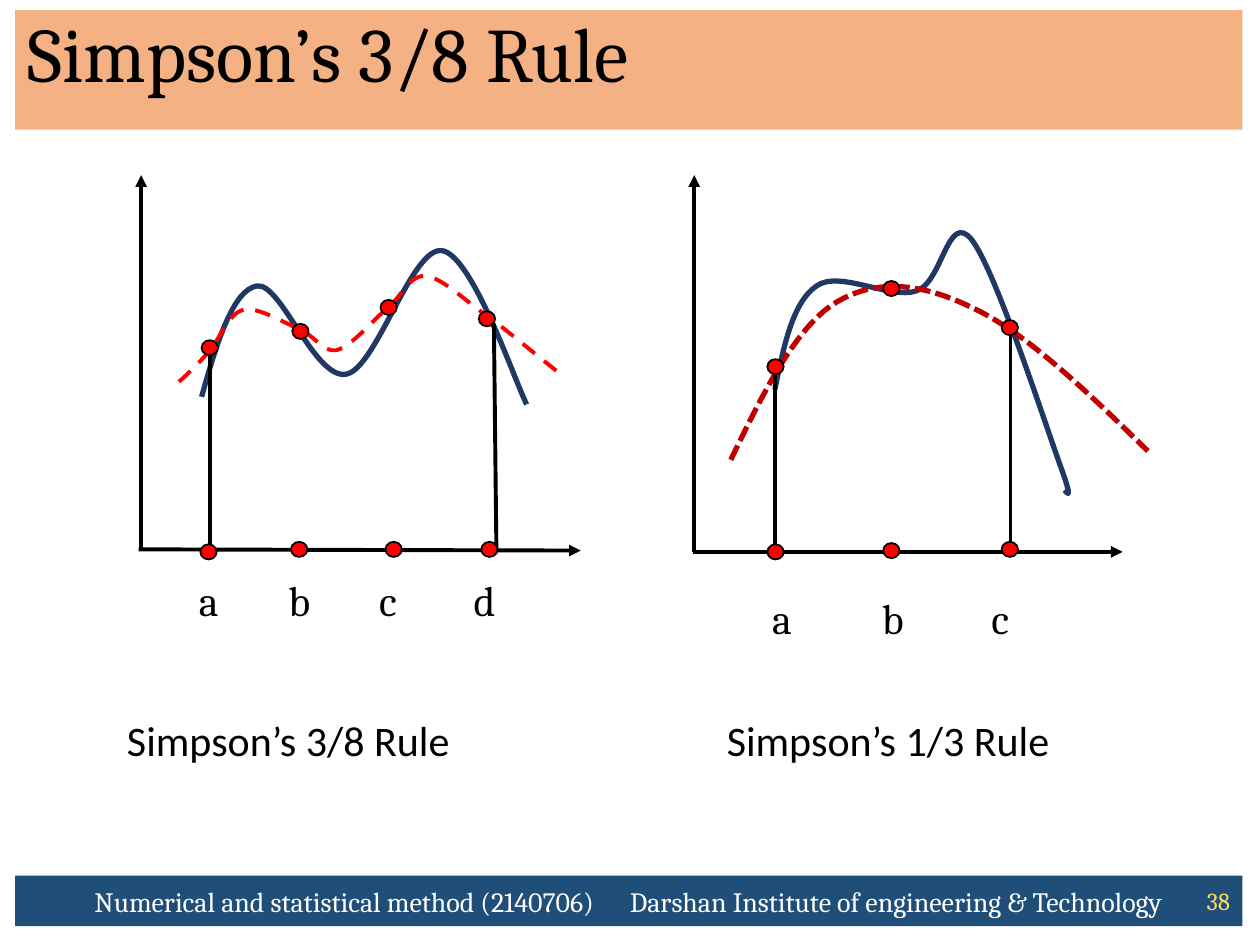
"""Build a slide comparing Simpson's 3/8 rule with Simpson's 1/3 rule."""
from lxml.etree import SubElement
from pptx import Presentation
from pptx.dml.color import RGBColor
from pptx.enum.dml import MSO_LINE
from pptx.enum.shapes import MSO_CONNECTOR, MSO_SHAPE
from pptx.enum.text import MSO_ANCHOR, MSO_AUTO_SIZE, PP_ALIGN
from pptx.oxml.ns import qn
from pptx.util import Inches, Pt

BLACK = RGBColor(0, 0, 0)
WHITE = RGBColor(0xFF, 0xFF, 0xFF)
RED = RGBColor(0xFF, 0, 0)
DARK_RED = RGBColor(0xC0, 0, 0)
NAVY = RGBColor(0x20, 0x38, 0x64)
BLUE = RGBColor(0x1F, 0x4E, 0x79)
ORANGE = RGBColor(0xF4, 0xB1, 0x83)
YELLOW = RGBColor(0xFF, 0xD9, 0x66)

TITLE = "Simpson’s 3/8 Rule"
FOOTER = ("Numerical and statistical method (2140706)"
          "\tDarshan Institute of engineering & Technology")
PAGE = "38"
BAR_LEFT, BAR_WIDTH = 0.12, 9.74
FOOTER_TOP, FOOTER_HEIGHT = 6.95, 0.4
DOT_W, DOT_H = 0.13, 0.12
LABEL_W, TEXT_H, CAPTION_W = 0.38, 0.5, 3.07

GRAPHS = [
    dict(
        caption=("Simpson’s 3/8 Rule", 0.91, 5.62),
        axes=[(1.1, 4.36, 4.61, 4.37), (1.12, 4.37, 1.12, 1.39)],
        drops=[(1.67, 2.7, 1.67, 4.37), (3.92, 2.57, 3.94, 4.37)],
        curves=[
            (NAVY, 3, None, [
                (1.6, 3.15), (1.72, 2.72), (1.85, 2.3), (2.04, 2.27),
                (2.23, 2.24), (2.5, 3.02), (2.75, 2.97),
                (2.99, 2.92), (3.27, 1.95), (3.51, 1.99),
                (3.75, 2.03), (4.08, 3.01), (4.18, 3.21)]),
            (RED, 2.25, MSO_LINE.DASH, [
                (1.42, 3.03), (1.5, 2.96), (1.57, 2.89), (1.66, 2.79),
                (1.74, 2.7), (1.81, 2.49), (1.93, 2.46),
                (2.04, 2.43), (2.25, 2.56), (2.37, 2.61),
                (2.5, 2.66), (2.56, 2.8), (2.67, 2.78),
                (2.79, 2.75), (2.94, 2.56), (3.06, 2.46),
                (3.18, 2.37), (3.24, 2.19), (3.37, 2.19),
                (3.51, 2.2), (3.68, 2.38), (3.87, 2.51),
                (4.05, 2.64), (4.34, 2.89), (4.48, 2.99)]),
        ],
        dots=[(1.6, 2.7), (2.32, 2.57), (3.02, 2.38), (3.8, 2.47),
              (1.59, 4.32), (2.31, 4.3), (3.06, 4.3), (3.82, 4.3)],
        label_top=4.51,
        labels=[("a", 1.48), ("b", 2.19), ("c", 2.91), ("d", 3.66)],
    ),
    dict(
        caption=("Simpson’s 1/3 Rule", 5.67, 5.62),
        axes=[(5.5, 4.38, 8.91, 4.38), (5.51, 4.38, 5.51, 1.39)],
        drops=[(6.15, 2.91, 6.15, 4.35), (8.02, 2.63, 8.02, 4.37)],
        curves=[
            (NAVY, 3, None, [
                (6.15, 3.09), (6.22, 2.75), (6.29, 2.4), (6.48, 2.27),
                (6.66, 2.14), (7.07, 2.38), (7.27, 2.31),
                (7.48, 2.25), (7.52, 1.67), (7.71, 1.9),
                (7.9, 2.14), (8.3, 3.38), (8.42, 3.71),
                (8.54, 4.04), (8.44, 3.87), (8.45, 3.89)]),
            (DARK_RED, 3, MSO_LINE.SQUARE_DOT, [
                (5.8, 3.65), (6.05, 3.13), (6.31, 2.61), (6.62, 2.41),
                (6.94, 2.21), (7.3, 2.24), (7.71, 2.44),
                (8.13, 2.63), (8.62, 3.1), (9.11, 3.58)]),
        ],
        dots=[(6.09, 2.85), (7.01, 2.23), (7.95, 2.54),
              (6.09, 4.32), (7.01, 4.31), (7.95, 4.3)],
        label_top=4.65,
        labels=[("a", 6.03), ("b", 6.9), ("c", 7.77)],
    ),
]


def set_font(p, size, color, name="Cambria"):
    p.font.name, p.font.size, p.font.color.rgb = name, Pt(size), color


def add_text(s, text, box, size, color=BLACK, name="Cambria"):
    sp = s.shapes.add_textbox(*map(Inches, box))
    tf = sp.text_frame
    tf.word_wrap = True
    tf.text = text
    set_font(tf.paragraphs[0], size, color, name)
    return tf


def add_filled(s, kind, box, fill):
    sp = s.shapes.add_shape(kind, *map(Inches, box))
    sp.shadow.inherit = False
    sp.fill.solid()
    sp.fill.fore_color.rgb = fill
    return sp


def add_line(s, ends, arrow=False):
    cx = s.shapes.add_connector(MSO_CONNECTOR.STRAIGHT, *map(Inches, ends))
    cx.line.color.rgb, cx.line.width = BLACK, Pt(2.25)
    if arrow:
        SubElement(cx.line._get_or_add_ln(), qn("a:tailEnd"), type="triangle")
    SubElement(cx._element.spPr, qn("a:effectLst"))


def add_curve(s, color, width, dash, points):
    start, *rest = [(Inches(x), Inches(y)) for x, y in points]
    builder = s.shapes.build_freeform(*start)
    builder.add_line_segments(rest, close=False)
    sp = builder.convert_to_shape()
    outline = next(sp._element.iter(qn("a:path")))
    segments = outline.findall(qn("a:lnTo"))
    for i in range(0, len(segments), 3):
        bezier = SubElement(outline, qn("a:cubicBezTo"))
        for segment in segments[i:i + 3]:
            bezier.append(segment[0])
            outline.remove(segment)
    sp.shadow.inherit = False
    sp.fill.background()
    sp.line.color.rgb, sp.line.width = color, Pt(width)
    if dash:
        sp.line.dash_style = dash


def add_graph(s, graph):
    for ends in graph["axes"]:
        add_line(s, ends, arrow=True)
    for curve in graph["curves"]:
        add_curve(s, *curve)
    for ends in graph["drops"]:
        add_line(s, ends)
    for x, y in graph["dots"]:
        sp = add_filled(s, MSO_SHAPE.OVAL, (x, y, DOT_W, DOT_H), RED)
        sp.line.color.rgb, sp.line.width = BLACK, Pt(1)
    for text, x in graph["labels"]:
        add_text(s, text, (x, graph["label_top"], LABEL_W, TEXT_H), 24)
    text, x, y = graph["caption"]
    add_text(s, text, (x, y, CAPTION_W, TEXT_H), 24, name="Calibri")


def add_title(s):
    sp = s.shapes.title
    sp.left, sp.top = Inches(BAR_LEFT), Inches(0.08)
    sp.width, sp.height = Inches(BAR_WIDTH), Inches(0.95)
    sp.fill.solid()
    sp.fill.fore_color.rgb = ORANGE
    tf = sp.text_frame
    tf.text = TITLE
    tf.auto_size = MSO_AUTO_SIZE.NONE
    tf.vertical_anchor = MSO_ANCHOR.TOP
    p = tf.paragraphs[0]
    p.alignment, p.line_spacing = PP_ALIGN.LEFT, 0.9
    set_font(p, 44, BLACK)


def add_footer(s):
    box = (BAR_LEFT, FOOTER_TOP, BAR_WIDTH, FOOTER_HEIGHT)
    sp = add_filled(s, MSO_SHAPE.RECTANGLE, box, BLUE)
    sp.line.fill.background()
    tf = sp.text_frame
    tf.margin_left = Inches(0.63)
    tf.margin_right = 0
    tf.text = FOOTER
    p = tf.paragraphs[0]
    p.alignment = PP_ALIGN.LEFT
    tabs = SubElement(p._p.get_or_add_pPr(), qn("a:tabLst"))
    SubElement(tabs, qn("a:tab"), pos=str(Inches(4.25)), algn="l")
    set_font(p, 16, WHITE)
    tf = add_text(s, PAGE, (9.29, FOOTER_TOP, 0.57, FOOTER_HEIGHT), 14, YELLOW)
    tf.vertical_anchor = MSO_ANCHOR.MIDDLE
    tf.paragraphs[0].alignment = PP_ALIGN.RIGHT


def main():
    prs = Presentation()
    prs.slide_width, prs.slide_height = Inches(10), Inches(7.5)
    s = prs.slides.add_slide(prs.slide_layouts[5])
    add_title(s)
    add_footer(s)
    for graph in GRAPHS:
        add_graph(s, graph)
    prs.save("out.pptx")


if __name__ == "__main__":
    main()
